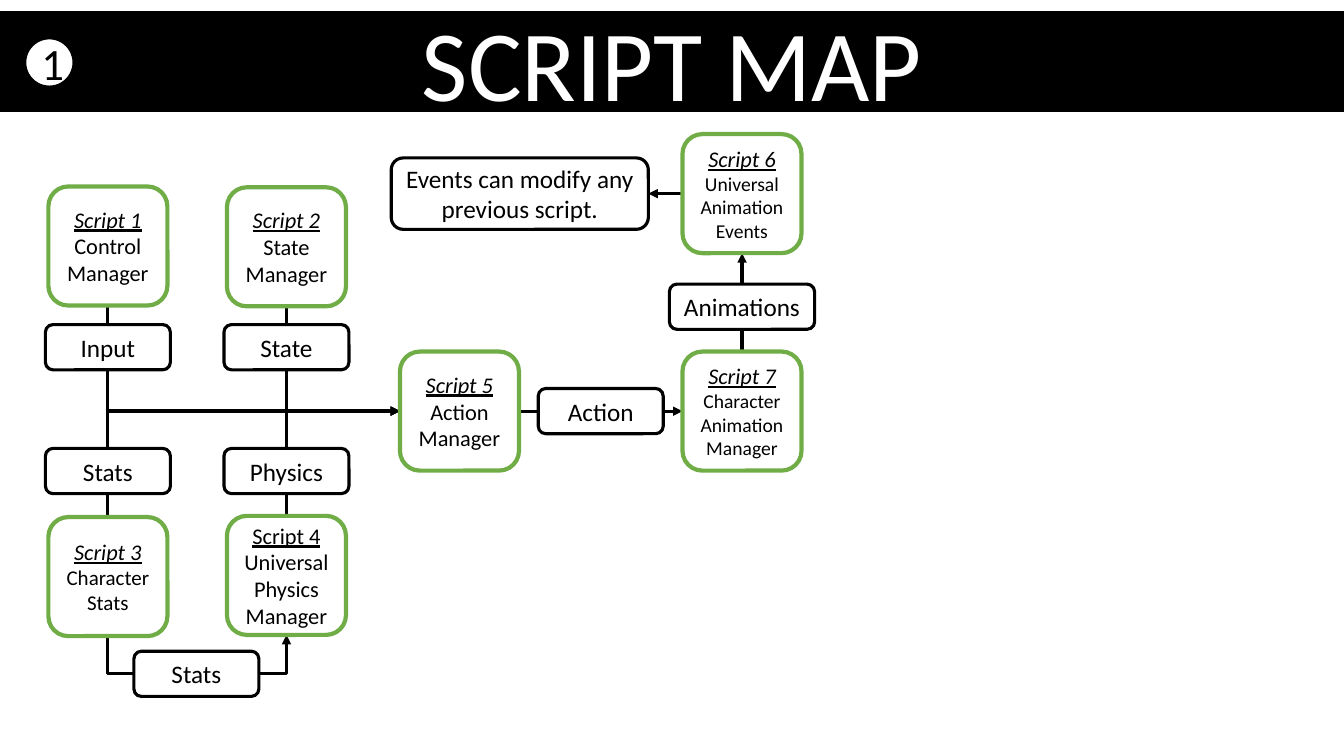
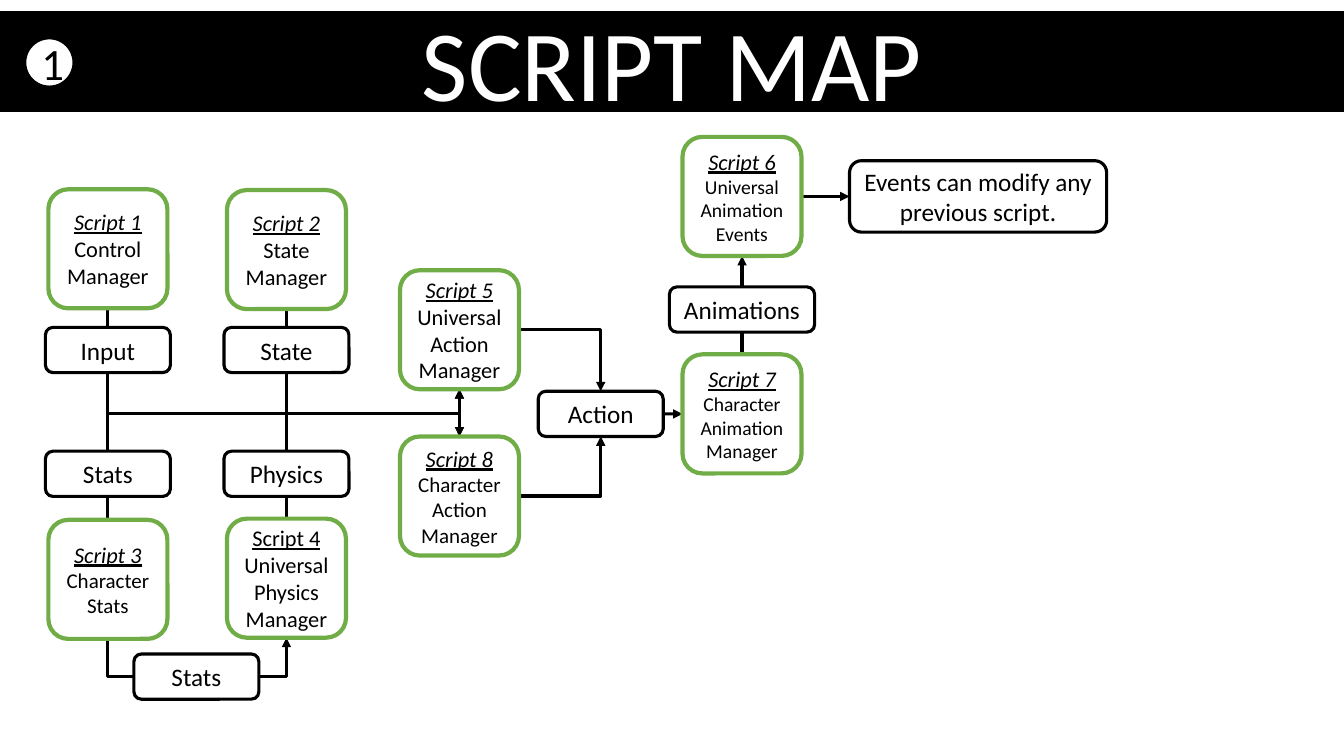
"""Build two script map slides that show how the scripts feed one another."""
from dataclasses import dataclass
from typing import Optional

from lxml.etree import SubElement
from pptx import Presentation
from pptx.dml.color import RGBColor
from pptx.enum.shapes import MSO_CONNECTOR, MSO_SHAPE
from pptx.enum.text import MSO_ANCHOR, PP_ALIGN
from pptx.oxml.ns import qn
from pptx.shapes.autoshape import Shape
from pptx.shapes.connector import Connector
from pptx.slide import Slide
from pptx.util import Cm, Pt

BLACK = RGBColor(0x00, 0x00, 0x00)
WHITE = RGBColor(0xFF, 0xFF, 0xFF)
GREEN = RGBColor(0x70, 0xAD, 0x47)
FONT = "Calibri"
SLIDE_WIDTH, SLIDE_HEIGHT = 33.87, 19.05
TOP, LEFT, BOTTOM, RIGHT = range(4)

CONTROL_X, STATE_X, ACTION_MANAGER_X = 2.72, 7.22, 11.58
ACTION_X, ANIMATION_X = 15.14, 18.7
EVENTS_Y, INPUT_Y, BUS_Y, STATS_Y, RETURN_Y = 4.88, 8.75, 10.36, 11.87, 16.98
SECOND_SHIFT = 0.07


@dataclass(frozen=True)
class Script:
    number: int
    name: str
    x: float
    y: float
    size: float = 16
    italic: bool = True


@dataclass(frozen=True)
class Label:
    key: str
    text: str
    x: float
    y: float
    width: float = 3.15
    height: float = 1.14


@dataclass(frozen=True)
class Link:
    begin: str
    begin_side: int
    end: str
    end_side: int
    level: Optional[float] = None


SHARED_SCRIPTS = [
    Script(1, "Control Manager", CONTROL_X, 6.2),
    Script(2, "State Manager", STATE_X, 6.22),
    Script(3, "Character Stats", CONTROL_X, 14.53, 15),
    Script(4, "Universal Physics Manager", STATE_X, 14.5, italic=False),
    Script(6, "Universal Animation Events", ANIMATION_X, EVENTS_Y, 14),
    Script(7, "Character Animation Manager", ANIMATION_X, BUS_Y, 14),
]
FIRST_SCRIPTS = [Script(5, "Action Manager", ACTION_MANAGER_X, BUS_Y)]
SECOND_SCRIPTS = [
    Script(5, "Universal Action Manager", ACTION_MANAGER_X, 8.24),
    Script(8, "Character Action Manager", ACTION_MANAGER_X, 12.43, 15),
]
SHARED_LABELS = [
    Label("Input", "Input", CONTROL_X, INPUT_Y),
    Label("State", "State", STATE_X, INPUT_Y),
    Label("Stats", "Stats", CONTROL_X, STATS_Y),
    Label("Physics", "Physics", STATE_X, STATS_Y),
    Label("Shared stats", "Stats", 4.95, RETURN_Y),
    Label("Action", "Action", ACTION_X, BUS_Y),
    Label("Animations", "Animations", ANIMATION_X, 7.73, width=3.66),
]
SHARED_LINKS = [
    Link("Script 3", BOTTOM, "Script 4", BOTTOM, RETURN_Y),
    Link("Script 7", TOP, "Script 6", BOTTOM),
]
SOURCES = [("Script 1", BOTTOM), ("Script 2", BOTTOM),
           ("Script 3", TOP), ("Script 4", TOP)]
FIRST_LINKS = [
    *(Link(name, side, "Script 5", LEFT) for name, side in SOURCES),
    Link("Script 5", RIGHT, "Script 7", LEFT),
    Link("Script 6", LEFT, "Events", RIGHT),
]
SECOND_LINKS = [
    *(Link(name, side, "Script 5" if side == BOTTOM else "Script 8", side, BUS_Y)
      for name, side in SOURCES),
    Link("Script 5", RIGHT, "Action", TOP),
    Link("Script 8", RIGHT, "Action", BOTTOM),
    Link("Action", RIGHT, "Script 7", LEFT),
    Link("Script 6", RIGHT, "Events", LEFT),
]


def events_label(x: float) -> Label:
    return Label("Events", "Events can modify any previous script.", x, EVENTS_Y, 6.48, 1.8)


def add_box(page: Slide, kind: MSO_SHAPE, left: float, top: float, width: float,
            height: float, fill: Optional[RGBColor], line: Optional[RGBColor],
            weight: float = 3) -> Shape:
    box = page.shapes.add_shape(kind, Cm(left), Cm(top), Cm(width), Cm(height))
    box.shadow.inherit = False
    if fill is None:
        box.fill.background()
    else:
        box.fill.solid()
        box.fill.fore_color.rgb = fill
    if line is None:
        box.line.fill.background()
    else:
        box.line.color.rgb = line
        box.line.width = Pt(weight)
    return box


def write(box: Shape, text: str, size: float, color: RGBColor = BLACK) -> None:
    box.text_frame.vertical_anchor = MSO_ANCHOR.MIDDLE
    para = box.text_frame.paragraphs[0]
    para.alignment = PP_ALIGN.CENTER
    para.font.name = FONT
    para.font.size = Pt(size)
    para.font.color.rgb = color
    if text:
        para.add_run().text = text


def add_header(page: Slide) -> None:
    band = add_box(page, MSO_SHAPE.RECTANGLE, 0, 0.28, SLIDE_WIDTH, 2.54, BLACK, None)
    write(band, "SCRIPT MAP", 72, WHITE)
    badge = add_box(page, MSO_SHAPE.OVAL, 0.61, 0.94, 1.27, 1.27, WHITE, BLACK)
    write(badge, "1", 32)


def add_script(page: Slide, script: Script, shift: float) -> Shape:
    side = 3
    box = add_box(page, MSO_SHAPE.ROUNDED_RECTANGLE, script.x - side / 2,
                  script.y + shift - side / 2, side, side, None, GREEN)
    write(box, "", script.size)
    para = box.text_frame.paragraphs[0]
    heading = para.add_run()
    heading.text = f"Script {script.number}"
    heading.font.size = Pt(16)
    heading.font.italic = script.italic
    heading.font.underline = True
    para.add_run().text = f" {script.name}"
    return box


def add_label(page: Slide, label: Label, shift: float) -> Shape:
    box = add_box(page, MSO_SHAPE.ROUNDED_RECTANGLE, label.x - label.width / 2,
                  label.y + shift - label.height / 2, label.width, label.height,
                  WHITE, BLACK, 2.25)
    write(box, label.text, 18)
    return box


def bend(connector: Connector, link: Link, shift: float) -> None:
    properties = connector.element.spPr
    geometry = properties.find(qn("a:prstGeom"))
    if link.level is None:
        geometry.set("prst", "bentConnector2")
    if link.begin_side in (LEFT, RIGHT):
        return
    start_x, start_y = connector.begin_x, connector.begin_y
    run, rise = connector.end_x - start_x, connector.end_y - start_y
    if link.level is not None:
        turn = round((Cm(link.level + shift) - start_y) / rise * 100000)
        guides = geometry.find(qn("a:avLst"))
        SubElement(guides, qn("a:gd"), name="adj1", fmla=f"val {turn}")
    connector.left = round(start_x + (run - abs(rise)) / 2)
    connector.top = round(start_y + (rise - run) / 2)
    connector.width, connector.height = abs(rise), run
    frame = properties.find(qn("a:xfrm"))
    frame.set("rot", "16200000" if rise > 0 else "5400000")
    frame.set("flipH", "1")
    frame.set("flipV", "0" if rise > 0 else "1")


def add_link(page: Slide, link: Link, boxes: dict[str, Shape], shift: float) -> None:
    straight = link.level is None and abs(link.begin_side - link.end_side) == 2
    kind = MSO_CONNECTOR.STRAIGHT if straight else MSO_CONNECTOR.ELBOW
    connector = page.shapes.add_connector(kind, Cm(0), Cm(0), Cm(0), Cm(0))
    connector.begin_connect(boxes[link.begin], link.begin_side)
    connector.end_connect(boxes[link.end], link.end_side)
    if not straight:
        bend(connector, link, shift)
    connector.line.color.rgb = BLACK
    connector.line.width = Pt(2.25)
    properties = connector.element.spPr
    SubElement(properties.find(qn("a:ln")), qn("a:tailEnd"), type="triangle")
    SubElement(properties, qn("a:effectLst"))
    connector.element.getparent().insert(2, connector.element)


def add_map(deck: Presentation, scripts: list[Script], events_x: float,
            links: list[Link], shift: float = 0) -> None:
    page = deck.slides.add_slide(deck.slide_layouts[6])
    add_header(page)
    boxes = {f"Script {script.number}": add_script(page, script, shift)
             for script in SHARED_SCRIPTS + scripts}
    for label in [*SHARED_LABELS, events_label(events_x)]:
        boxes[label.key] = add_label(page, label, shift)
    for link in SHARED_LINKS + links:
        add_link(page, link, boxes, shift)


def main() -> None:
    deck = Presentation()
    deck.slide_width, deck.slide_height = Cm(SLIDE_WIDTH), Cm(SLIDE_HEIGHT)
    add_map(deck, FIRST_SCRIPTS, 13.1, FIRST_LINKS)
    add_map(deck, SECOND_SCRIPTS, 24.65, SECOND_LINKS, SECOND_SHIFT)
    deck.save("out.pptx")


if __name__ == "__main__":
    main()
